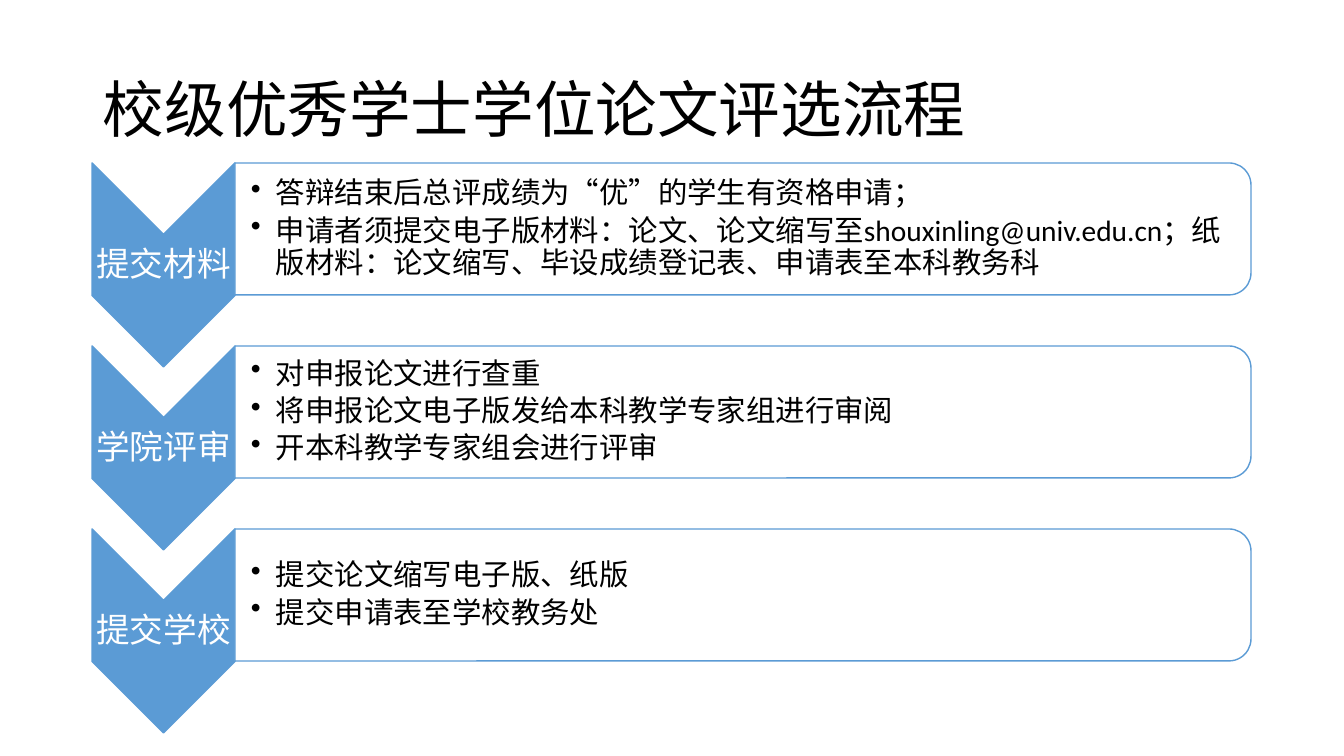
import pptx
import pptx.util
import pptx.dml.color
import pptx.enum.shapes
import pptx.enum.text
import pptx.oxml
import lxml.etree

SCALE = 914400 / 100.8  # EMU per px
FONT = "Calibri"
BLUE, WHITE, BLACK = "5B9BD5", "FFFFFF", "000000"
SHAPE = pptx.enum.shapes.MSO_SHAPE
ALIGN = pptx.enum.text.PP_ALIGN

STEPS = [
    ("提交材料", [
        "答辩结束后总评成绩为“优”的学生有资格申请；",
        "申请者须提交电子版材料：论文、论文缩写至shouxinling@univ.edu.cn；"
        "纸版材料：论文缩写、毕设成绩登记表、申请表至本科教务科",
    ]),
    ("学院评审", [
        "对申报论文进行查重",
        "将申报论文电子版发给本科教学专家组进行审阅",
        "开本科教学专家组会进行评审",
    ]),
    ("提交学校", [
        "提交论文缩写电子版、纸版",
        "提交申请表至学校教务处",
    ]),
]


def px(n):
    return pptx.util.Emu(round(n * SCALE))


def color(hex_code):
    return pptx.dml.color.RGBColor.from_string(hex_code)


def add_text(slide, box, lines, size, hex_code, insets,
             align=ALIGN.LEFT, after=0, bullet=False):
    tf = slide.shapes.add_textbox(*map(px, box)).text_frame
    tf.word_wrap = True
    tf.vertical_anchor = pptx.enum.text.MSO_ANCHOR.MIDDLE
    tf.margin_left, tf.margin_top, tf.margin_right, tf.margin_bottom = map(px, insets)
    for i, line in enumerate(lines):
        p = tf.paragraphs[0] if i == 0 else tf.add_paragraph()
        p.alignment = align
        p.line_spacing = 0.9
        p.space_after = pptx.util.Pt(after)
        if bullet:
            pPr = p._p.get_or_add_pPr()
            pPr.set("marL", str(px(25)))
            pPr.set("indent", str(px(-25)))
            bu = lxml.etree.SubElement(pPr, pptx.oxml.ns.qn("a:buChar"))
            bu.set("char", "•")
        r = p.add_run()
        r.text = line
        r.font.name = FONT
        r.font.size = pptx.util.Pt(size)
        r.font.color.rgb = color(hex_code)


def add_turned_shape(slide, kind, box, fill):
    """Place a shape turned by 90 degrees so that it covers the box."""
    x, y, w, h = box
    left, top = x + (w - h) / 2, y + (h - w) / 2
    sp = slide.shapes.add_shape(kind, px(left), px(top), px(h), px(w))
    sp.rotation = 90
    sp.shadow.inherit = False
    sp.fill.solid()
    sp.fill.fore_color.rgb = color(fill)
    sp.line.color.rgb = color(BLUE)
    sp.line.width = pptx.util.Pt(1)
    return sp


def add_title(slide, box):
    add_text(slide, box, ["校级优秀学士学位论文评选流程"], 44, BLACK, (10, 5, 10, 5))


def add_step(slide, box, label, items):
    x, y, w, h = box
    arrow_w, panel_h = 143, 132
    panel_x, panel_w = x + arrow_w, w - arrow_w

    # Arrow with its label
    add_turned_shape(slide, SHAPE.CHEVRON, (x, y, arrow_w, h), BLUE)
    add_text(slide, (x, y + 72, arrow_w, 61), [label], 24, WHITE,
             (2, 2, 2, 2), align=ALIGN.CENTER)

    # Panel with its bullets
    add_turned_shape(slide, SHAPE.ROUND_2_SAME_RECTANGLE,
                     (panel_x, y, panel_w, panel_h), WHITE)
    add_text(slide, (panel_x, y + 6, panel_w - 6, panel_h - 12), items, 21, BLACK,
             (16, 1, 1, 1), after=4, bullet=True)


def main():
    prs = pptx.Presentation()
    prs.slide_width, prs.slide_height = px(1344), px(756)
    slide = prs.slides.add_slide(prs.slide_layouts[6])

    add_title(slide, (93, 40, 1159, 146))
    for i, (label, items) in enumerate(STEPS):
        add_step(slide, (92, 163 + i * 183, 1159, 204), label, items)

    prs.save("out.pptx")


if __name__ == "__main__":
    main()
